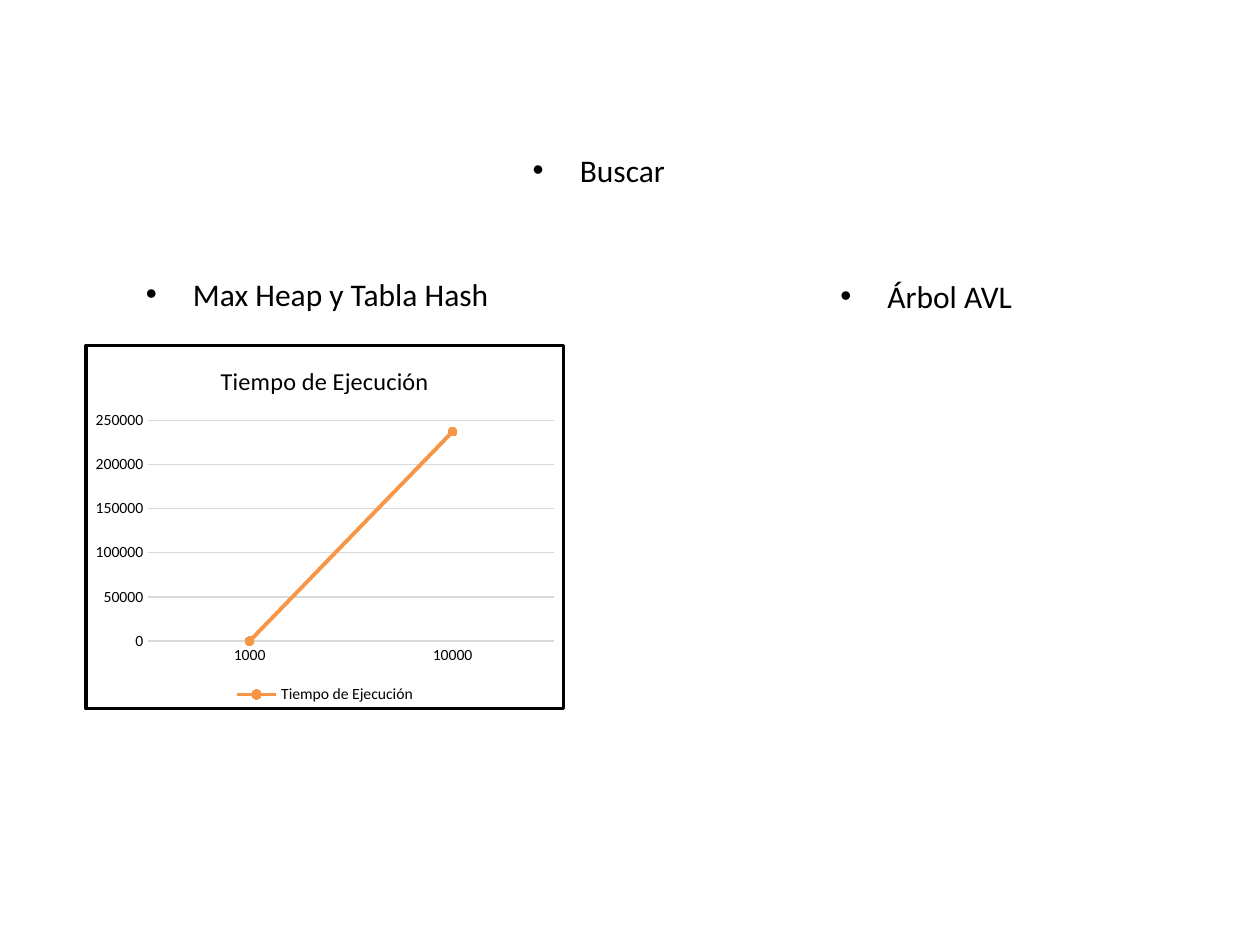
from dataclasses import dataclass

from lxml import etree
from pptx import Presentation
from pptx.chart.axis import _BaseAxis
from pptx.chart.chart import Chart
from pptx.chart.data import CategoryChartData
from pptx.dml.color import RGBColor
from pptx.enum.chart import (
    XL_CHART_TYPE, XL_LEGEND_POSITION, XL_MARKER_STYLE, XL_TICK_MARK,
)
from pptx.oxml import parse_xml
from pptx.oxml.ns import nsdecls, qn
from pptx.slide import Slide
from pptx.text.text import Font
from pptx.util import Cm, Pt

LINE_CHART = XL_CHART_TYPE.LINE_MARKERS
LEGEND_BOTTOM = XL_LEGEND_POSITION.BOTTOM
CIRCLE = XL_MARKER_STYLE.CIRCLE
NO_TICK = XL_TICK_MARK.NONE

BLACK = RGBColor(0x00, 0x00, 0x00)
WHITE = RGBColor(0xFF, 0xFF, 0xFF)
GRID_GRAY = RGBColor(0xD9, 0xD9, 0xD9)
ORANGE = RGBColor(0xF7, 0x96, 0x46)

FONT_NAME = "Calibri"
CHART_TITLE = "Tiempo de Ejecución"
HEADING_WIDTH, HEADING_HEIGHT = Cm(7.72), Cm(1.9)
BULLET_INDENT = Cm(0.95)
BLANK_LAYOUT = 6


@dataclass(frozen=True)
class Heading:
    text: str
    left: float
    top: float


HEADINGS = (
    Heading("Buscar", 10.49, 2.92),
    Heading("Max Heap y Tabla Hash", 2.69, 5.41),
    Heading("Árbol AVL", 16.69, 5.46),
)


def style_font(font: Font, size: float) -> None:
    font.name = FONT_NAME
    font.size = Pt(size)
    font.bold = False
    font.color.rgb = BLACK


def add_heading(slide: Slide, heading: Heading) -> None:
    box = slide.shapes.add_textbox(
        Cm(heading.left), Cm(heading.top), HEADING_WIDTH, HEADING_HEIGHT
    )
    box.text_frame.word_wrap = True
    para = box.text_frame.paragraphs[0]
    para.text = heading.text
    style_font(para.font, 18)
    properties = para._p.get_or_add_pPr()
    properties.set("marL", str(BULLET_INDENT))
    properties.set("indent", str(-BULLET_INDENT))
    bullet_font = etree.Element(qn("a:buFont"), typeface="Arial")
    bullet = etree.Element(qn("a:buChar"), char="•")
    properties[:0] = [bullet_font, bullet]


def frame_chart(chart: Chart) -> None:
    """Give the chart area its white fill and black border."""
    frame = parse_xml(
        f'<c:spPr {nsdecls("c", "a")}>'
        f'<a:solidFill><a:srgbClr val="{WHITE}"/></a:solidFill>'
        f'<a:ln w="{Pt(2)}"><a:solidFill><a:srgbClr val="{BLACK}"/></a:solidFill>'
        "<a:round/></a:ln></c:spPr>"
    )
    chart.element.find(qn("c:chart")).addnext(frame)


def style_axis(axis: _BaseAxis) -> None:
    axis.major_tick_mark = NO_TICK
    axis.minor_tick_mark = NO_TICK
    style_font(axis.tick_labels.font, 9)


def add_time_chart(slide: Slide) -> None:
    data = CategoryChartData()
    data.categories = ["1000", "10000"]
    data.add_series(CHART_TITLE, (0, 237000))
    chart = slide.shapes.add_chart(
        LINE_CHART, Cm(1.7), Cm(6.93), Cm(9.7), Cm(7.39), data
    ).chart
    style_font(chart.font, 10)
    frame_chart(chart)

    title = chart.chart_title.text_frame
    title.text = CHART_TITLE
    style_font(title.paragraphs[0].font, 14)
    chart.chart_title.include_in_layout = False

    chart.has_legend = True
    chart.legend.position = LEGEND_BOTTOM
    chart.legend.include_in_layout = False
    style_font(chart.legend.font, 9)

    categories, values = chart.category_axis, chart.value_axis
    style_axis(categories)
    style_axis(values)
    values.minimum_scale, values.maximum_scale = 0, 250000
    values.major_unit = 50000
    values.format.line.fill.background()
    for line in (categories.format.line, values.major_gridlines.format.line):
        line.color.rgb = GRID_GRAY
        line.width = Pt(0.75)

    plot = chart.plots[0]
    plot.vary_by_categories = False
    series = plot.series[0]
    series.smooth = False
    series.format.line.color.rgb = ORANGE
    series.format.line.width = Pt(2.25)
    marker = series.marker
    marker.style = CIRCLE
    marker.size = 5
    marker.format.fill.solid()
    marker.format.fill.fore_color.rgb = ORANGE
    marker.format.line.color.rgb = ORANGE


def main() -> None:
    deck = Presentation()
    deck.slide_width, deck.slide_height = Cm(25.4), Cm(19.05)
    slide = deck.slides.add_slide(deck.slide_layouts[BLANK_LAYOUT])
    for heading in HEADINGS:
        add_heading(slide, heading)
    add_time_chart(slide)
    deck.save("out.pptx")


if __name__ == "__main__":
    main()
